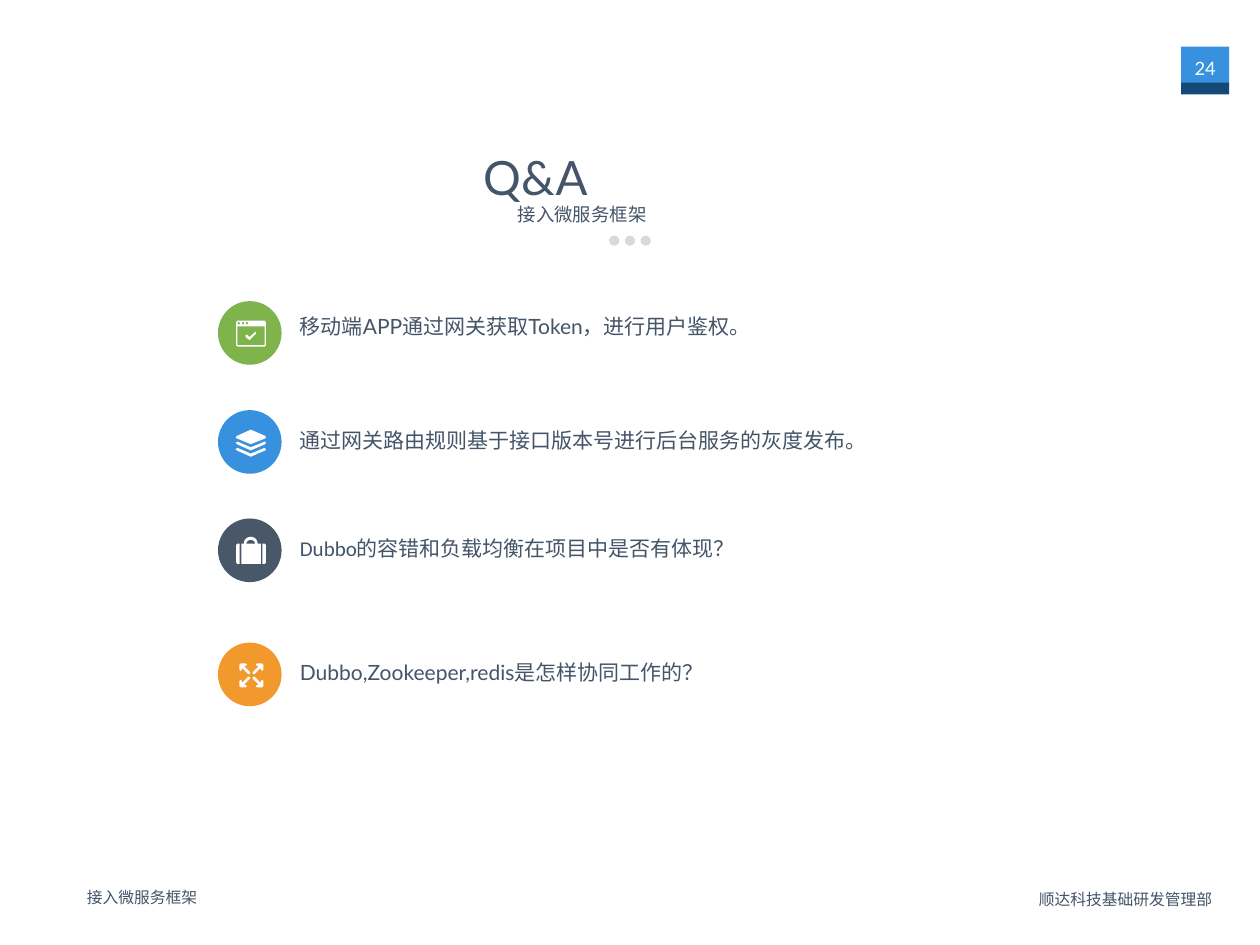
from math import cos, pi, sin
from lxml.etree import SubElement
from pptx import Presentation
from pptx.dml.color import RGBColor
from pptx.enum.shapes import MSO_SHAPE
from pptx.enum.text import MSO_ANCHOR, MSO_AUTO_SIZE, PP_ALIGN
from pptx.oxml.ns import qn
from pptx.util import Inches, Pt

WHITE = RGBColor(0xFF, 0xFF, 0xFF)
SLATE = RGBColor(0x44, 0x54, 0x69)
GREEN = RGBColor(0x7F, 0xB3, 0x4C)
BLUE = RGBColor(0x38, 0x91, 0xDE)
NAVY = RGBColor(0x14, 0x49, 0x77)
STEEL = RGBColor(0x48, 0x58, 0x68)
ORANGE = RGBColor(0xF1, 0x99, 0x2D)
GREY = RGBColor(0xD9, 0xD9, 0xD9)
LATO, CALIBRI, CJK = "Lato", "Calibri", "Noto Sans CJK SC"


def paint(sp, color):
    sp.shadow.inherit = False
    sp.fill.solid()
    sp.fill.fore_color.rgb = color
    sp.line.fill.background()


def write(sp, runs, size, color=SLATE, align=PP_ALIGN.LEFT, anchor=MSO_ANCHOR.TOP,
          inset=0, spacing=1.0, wrap=True):
    tf = sp.text_frame
    frame = {"word_wrap": wrap, "auto_size": MSO_AUTO_SIZE.NONE, "vertical_anchor": anchor}
    for side in ("left", "top", "right", "bottom"):
        frame["margin_" + side] = Inches(inset)
    for name, value in frame.items():
        setattr(tf, name, value)
    p = tf.paragraphs[0]
    p.alignment, p.line_spacing = align, spacing
    for text, font in runs:
        r = p.add_run()
        r.text = text
        for name, value in {"size": Pt(size), "name": font}.items():
            setattr(r.font, name, value)
        r.font.color.rgb = color
        SubElement(r.font._element, qn("a:ea"), typeface=CJK)


prs = Presentation()
prs.slide_width, prs.slide_height = Inches(20), Inches(15)
s = prs.slides.add_slide(prs.slide_layouts[5])

title = s.shapes.title
for name, value in {"left": 7.67, "top": 2.35, "width": 4.67, "height": 0.9}.items():
    setattr(title, name, Inches(value))
write(title, [("Q&A", LATO)], 54, anchor=MSO_ANCHOR.MIDDLE)

for top, height, color in [(0.74, 0.63, BLUE), (1.31, 0.19, NAVY)]:
    sp = s.shapes.add_shape(MSO_SHAPE.RECTANGLE, Inches(18.75), Inches(top), Inches(0.76), Inches(height))
    paint(sp, color)

labels = [
    ((16.48, 14.09, 2.76, 0.35), "顺达科技基础研发管理部", 18,
     {"align": PP_ALIGN.RIGHT, "anchor": MSO_ANCHOR.MIDDLE}),
    ((1.33, 14.04, 3, 0.45), "接入微服务框架", 18, {"inset": 0.05}),
    ((18.88, 0.82, 0.5, 0.5), "24", 21,
     {"color": WHITE, "align": PP_ALIGN.CENTER, "inset": 0.08, "wrap": False}),
    ((8.22, 3.2, 3.57, 0.4), "接入微服务框架", 21, {"anchor": MSO_ANCHOR.MIDDLE}),
]
for box, text, size, style in labels:
    write(s.shapes.add_textbox(*map(Inches, box)), [(text, LATO)], size, **style)

for i in range(3):
    dot = s.shapes.add_shape(MSO_SHAPE.OVAL, Inches(9.67 + 0.25 * i), Inches(3.74), Inches(0.16), Inches(0.16))
    paint(dot, GREY)

questions = [
    (4.78, 5.01, GREEN, [("移动端APP通过网关获取Token，进行用户鉴权。", LATO)]),
    (6.51, 6.82, BLUE, [("通过网关路由规则基于接口版本号进行后台服务的灰度发布。", LATO)]),
    (8.23, 8.54, STEEL, [("Dubbo", CALIBRI), ("的容错和负载均衡在项目中是否有体现？", LATO)]),
    (10.2, 10.5, ORANGE, [("Dubbo,Zookeeper,redis", LATO), ("是怎样协同工作的？", CJK)]),
]
for disc_top, text_top, color, runs in questions:
    disc = s.shapes.add_shape(MSO_SHAPE.OVAL, Inches(3.46), Inches(disc_top), Inches(1.01), Inches(1.01))
    paint(disc, color)
    tb = s.shapes.add_textbox(Inches(4.76), Inches(text_top), Inches(11.43), Inches(0.4))
    write(tb, runs, 24, spacing=Pt(26))

window = [
    [(3.77, 5.09), (4.2, 5.09), (4.22, 5.11), (4.22, 5.48), (4.2, 5.5), (3.77, 5.5), (3.75, 5.48), (3.75, 5.11)],
    [(3.77, 5.18), (3.77, 5.48), (4.2, 5.48), (4.2, 5.18)],
    [(3.92, 5.31), (3.96, 5.35), (4.04, 5.28), (4.05, 5.26), (4.07, 5.29), (3.97, 5.39),
     (3.96, 5.4), (3.95, 5.39), (3.9, 5.35), (3.9, 5.32)],
]
for x in (3.79, 3.86, 3.92):
    window.append([(x + 0.02 * cos(k * pi / 6), 5.13 + 0.02 * sin(k * pi / 6)) for k in range(12)])

layers = [[(3.98, 6.82), (4.21, 6.92), (4.22, 6.94), (4.21, 6.96), (3.98, 7.05), (3.76, 6.96), (3.74, 6.94), (3.76, 6.92)]]
for y in (7.01, 7.11):
    layers.append([(3.77, y), (3.98, y + 0.09), (4.2, y), (4.22, y + 0.02), (4.21, y + 0.04),
                   (3.98, y + 0.14), (3.76, y + 0.04), (3.74, y + 0.02)])

arc = [(cos(k * pi / 12), sin(k * pi / 12)) for k in range(13)]
suitcase = [
    [(3.83, 8.95), (3.83, 8.63)] + [(3.98 - 0.11 * c, 8.63 - 0.11 * d) for c, d in arc]
    + [(4.14, 8.63), (4.14, 8.95)],
    [(3.98 + 0.07 * c, 8.63 - 0.06 * d) for c, d in arc],
]
for side in (-1, 1):
    suitcase.append([(3.985 + side * x, y) for x, y in [
        (0.18, 8.63), (0.22, 8.63), (0.235, 8.65), (0.235, 8.93), (0.22, 8.95), (0.18, 8.95)]])

arrow = [(0.17, 0.19), (0.09, 0.19), (0.07, 0.17), (0.09, 0.15), (0.12, 0.15), (0.02, 0.05), (0.02, 0.03),
         (0.04, 0.02), (0.05, 0.02), (0.15, 0.12), (0.15, 0.09), (0.17, 0.07), (0.19, 0.09), (0.19, 0.17)]
expand = [[(3.99 + sx * x, 10.72 + sy * y) for x, y in arrow] for sx in (-1, 1) for sy in (-1, 1)]

for icon in (window, layers, suitcase, expand):
    outlines = [[(Inches(x), Inches(y)) for x, y in outline] for outline in icon]
    fb = s.shapes.build_freeform(*outlines[0][0])
    for i, outline in enumerate(outlines):
        if i:
            fb.move_to(*outline[0])
        fb.add_line_segments(outline[1:], close=True)
    paint(fb.convert_to_shape(), WHITE)

prs.save("out.pptx")
